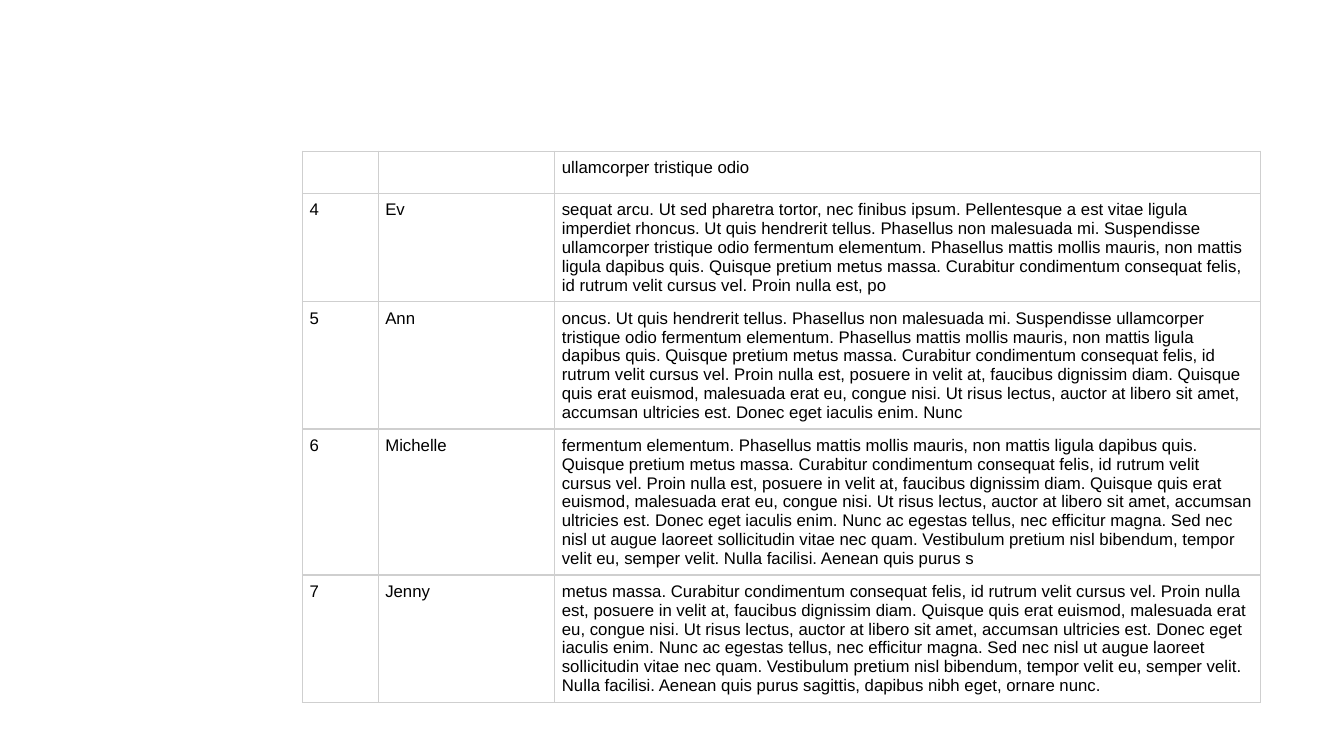
from dataclasses import dataclass

from lxml.etree import SubElement as Sub
from pptx import Presentation
from pptx.dml.color import RGBColor as RGB
from pptx.oxml.ns import qn
from pptx.util import Cm, Pt


@dataclass(frozen=True)
class Theme:
    font: str = "Arial"
    size: int = 12
    ink: str = "000000"
    rule: str = "CFCFCF"
    weight: int = 1
    inset: float = 0.18
    line: float = 0.47


PROSE = " ".join([
    "sequat arcu.",
    "Ut sed pharetra tortor, nec finibus ipsum.",
    "Pellentesque a est vitae ligula imperdiet rhoncus.",
    "Ut quis hendrerit tellus.",
    "Phasellus non malesuada mi.",
    "Suspendisse ullamcorper tristique odio fermentum elementum.",
    "Phasellus mattis mollis mauris, non mattis ligula dapibus quis.",
    "Quisque pretium metus massa.",
    "Curabitur condimentum consequat felis, id rutrum velit cursus vel.",
    "Proin nulla est, posuere in velit at, faucibus dignissim diam.",
    "Quisque quis erat euismod, malesuada erat eu, congue nisi.",
    "Ut risus lectus, auctor at libero sit amet, accumsan ultricies est.",
    "Donec eget iaculis enim.",
    "Nunc ac egestas tellus, nec efficitur magna.",
    "Sed nec nisl ut augue laoreet sollicitudin vitae nec quam.",
    "Vestibulum pretium nisl bibendum, tempor velit eu, semper velit.",
    "Nulla facilisi.",
    "Aenean quis purus sagittis, dapibus nibh eget, ornare nunc.",
])


def span(start, end):
    """Return the part of PROSE from start up to and including end."""
    return PROSE[PROSE.index(start):PROSE.index(end) + len(end)]


# number, name, text, lines of text
ROWS = [
    ("", "", span("ullamcorper", "odio"), 1.5),
    ("4", "Ev", span("sequat", "est, po"), 5),
    ("5", "Ann", span("oncus", "Nunc"), 6),
    ("6", "Michelle", span("fermentum", "purus s"), 7),
    ("7", "Jenny", span("metus", "ornare nunc."), 6),
]
COLS = [1.91, 4.45, 17.78]


class Deck:
    def __init__(self, theme):
        self.theme = theme
        self.prs = Presentation()
        self.prs.slide_width, self.prs.slide_height = Cm(33.87), Cm(19.05)
        self.slide = self.prs.slides.add_slide(self.prs.slide_layouts[6])

    def table(self, left, top, cols, rows):
        look = self.theme
        highs = [2 * look.inset + look.line * row[-1] for row in rows]
        table = self.slide.shapes.add_table(
            len(rows), len(cols), Cm(left), Cm(top),
            Cm(sum(cols)), Cm(sum(highs))).table
        table.first_row = table.horz_banding = False
        for col, width in zip(table.columns, cols):
            col.width = Cm(width)
        for line, high, row in zip(table.rows, highs, rows):
            line.height = Cm(high)
            for cell, text in zip(line.cells, row[:-1]):
                self.cell(cell, text)

    def cell(self, cell, text):
        look = self.theme
        cell.margin_left = cell.margin_right = Cm(look.inset)
        cell.margin_top = cell.margin_bottom = Cm(look.inset)
        self.border(cell)
        cell.fill.background()
        cell.text = text
        font = cell.text_frame.paragraphs[0].font
        font.name, font.size = look.font, Pt(look.size)
        font.color.rgb = RGB.from_string(look.ink)

    def border(self, cell):
        props = cell._tc.get_or_add_tcPr()
        for side in ("lnL", "lnR", "lnT", "lnB"):
            edge = Sub(props, qn(f"a:{side}"), w=str(Pt(self.theme.weight)))
            fill = Sub(edge, qn("a:solidFill"))
            Sub(fill, qn("a:srgbClr"), val=self.theme.rule)


def main():
    deck = Deck(Theme())
    deck.table(7.62, 3.81, COLS, ROWS)
    deck.prs.save("out.pptx")


if __name__ == "__main__":
    main()
